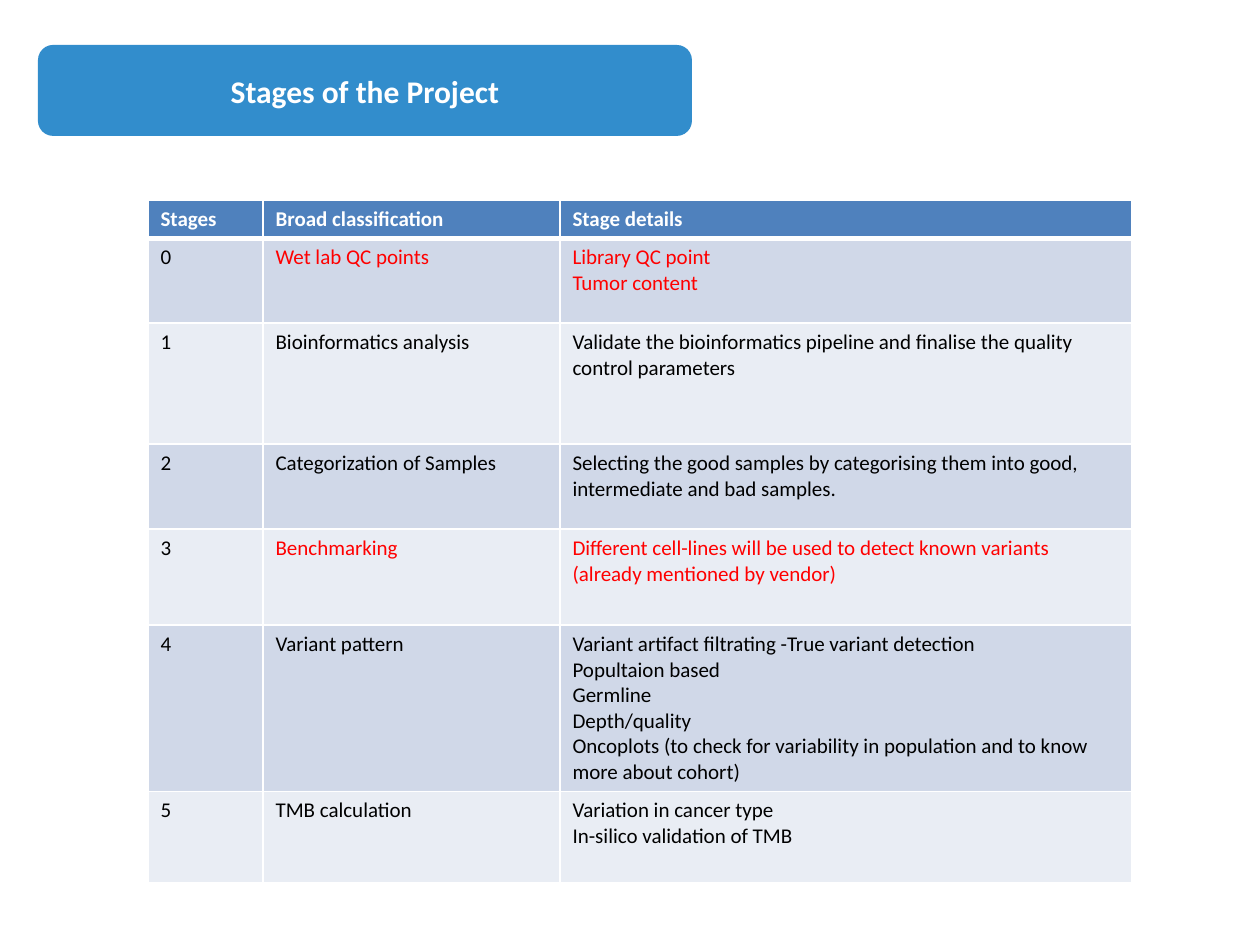
"""Build the slide that lists the stages of the project in a table."""
from dataclasses import dataclass

from lxml import etree
from pptx import Presentation
from pptx.dml.color import RGBColor as Rgb
from pptx.enum import shapes, text
from pptx.oxml import ns
from pptx.util import Emu, Pt


@dataclass
class Theme:
    font: str = "Calibri"
    band: str = "328DCC"
    head: str = "4F81BD"
    odd: str = "D0D8E8"
    even: str = "E9EDF4"
    white: str = "FFFFFF"
    black: str = "000000"
    red: str = "FF0000"
    title: int = 18
    body: int = 12


theme = Theme()


def px(*sizes):
    return [Emu(round(size * 914400 / 126)) for size in sizes]


def style(frame, size, color, bold):
    look = {"name": theme.font, "size": Pt(size), "bold": bold}
    for para in frame.paragraphs:
        for run in para.runs:
            for key, value in look.items():
                setattr(run.font, key, value)
            run.font.color.rgb = Rgb.from_string(color)


deck = Presentation()
deck.slide_width, deck.slide_height = px(1260, 945)
slide = deck.slides.add_slide(deck.slide_layouts[5])

box = px(38, 45, 654, 91)
band = slide.shapes.add_shape(shapes.MSO_SHAPE.ROUNDED_RECTANGLE, *box)
band.shadow.inherit = False
band.fill.solid()
band.fill.fore_color.rgb = Rgb.from_string(theme.band)
band.line.fill.background()

title = slide.shapes.title
band.element.addnext(title.element)
for key, value in zip(("left", "top", "width", "height"), box):
    setattr(title, key, value)
frame = title.text_frame
frame.text = "Stages of the Project"
layout = {
    "auto_size": text.MSO_AUTO_SIZE.NONE,
    "vertical_anchor": text.MSO_ANCHOR.MIDDLE,
    "word_wrap": True,
}
for key, value in layout.items():
    setattr(frame, key, value)
frame.paragraphs[0].alignment = text.PP_ALIGN.CENTER
style(frame, theme.title, theme.white, True)

rows = [
    (37, "Stages", "Broad classification", "Stage details"),
    (85, "0", "Wet lab QC points", "Library QC point\nTumor content"),
    (121, "1", "Bioinformatics analysis",
     "Validate the bioinformatics pipeline and finalise the quality control parameters"),
    (85, "2", "Categorization of Samples",
     "Selecting the good samples by categorising them into good, intermediate and bad samples."),
    (96, "3", "Benchmarking",
     "Different cell-lines will be used to detect known variants (already mentioned by vendor)"),
    (166, "4", "Variant pattern",
     "Variant artifact filtrating -True variant detection\nPopultaion based\nGermline\n"
     "Depth/quality\n"
     "Oncoplots (to check for variability in population and to know more about cohort)"),
    (91, "5", "TMB calculation", "Variation in cancer type\nIn-silico validation of TMB"),
]
widths = (115, 297, 572)
lab = {"0", "3"}

high = sum(row[0] for row in rows)
grid = slide.shapes.add_table(
    len(rows), len(widths), *px(148, 200, sum(widths), high)).table
for col, width in zip(grid.columns, px(*widths)):
    col.width = width

for r, (height, *words) in enumerate(rows):
    grid.rows[r].height = px(height)[0]
    for c, word in enumerate(words):
        cell = grid.cell(r, c)
        cell.text = word
        color = theme.red if c and words[0] in lab else theme.black
        fill = theme.odd if r % 2 else theme.even
        if r == 0:
            color, fill = theme.white, theme.head
        style(cell.text_frame, theme.body, color, r == 0)
        cell.fill.solid()
        cell.fill.fore_color.rgb = Rgb.from_string(fill)
        wide = {"lnL": 1, "lnR": 1, "lnT": 3 if r == 1 else 1, "lnB": 1 if r else 3}
        props = cell._tc.get_or_add_tcPr()
        for spot, (tag, points) in enumerate(wide.items()):
            line = etree.Element(ns.qn(f"a:{tag}"), w=str(Pt(points)))
            paint = etree.SubElement(line, ns.qn("a:solidFill"))
            etree.SubElement(paint, ns.qn("a:srgbClr"), val=theme.white)
            props.insert(spot, line)

deck.save("out.pptx")
